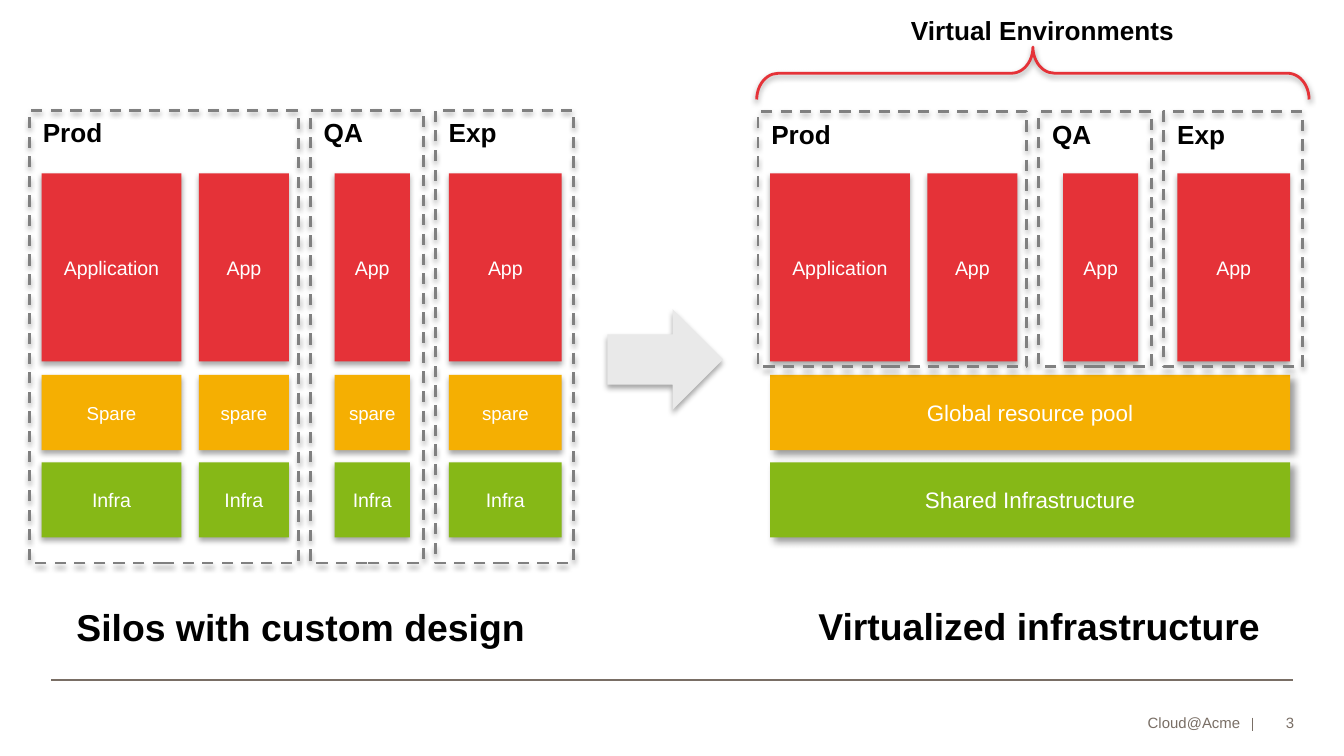
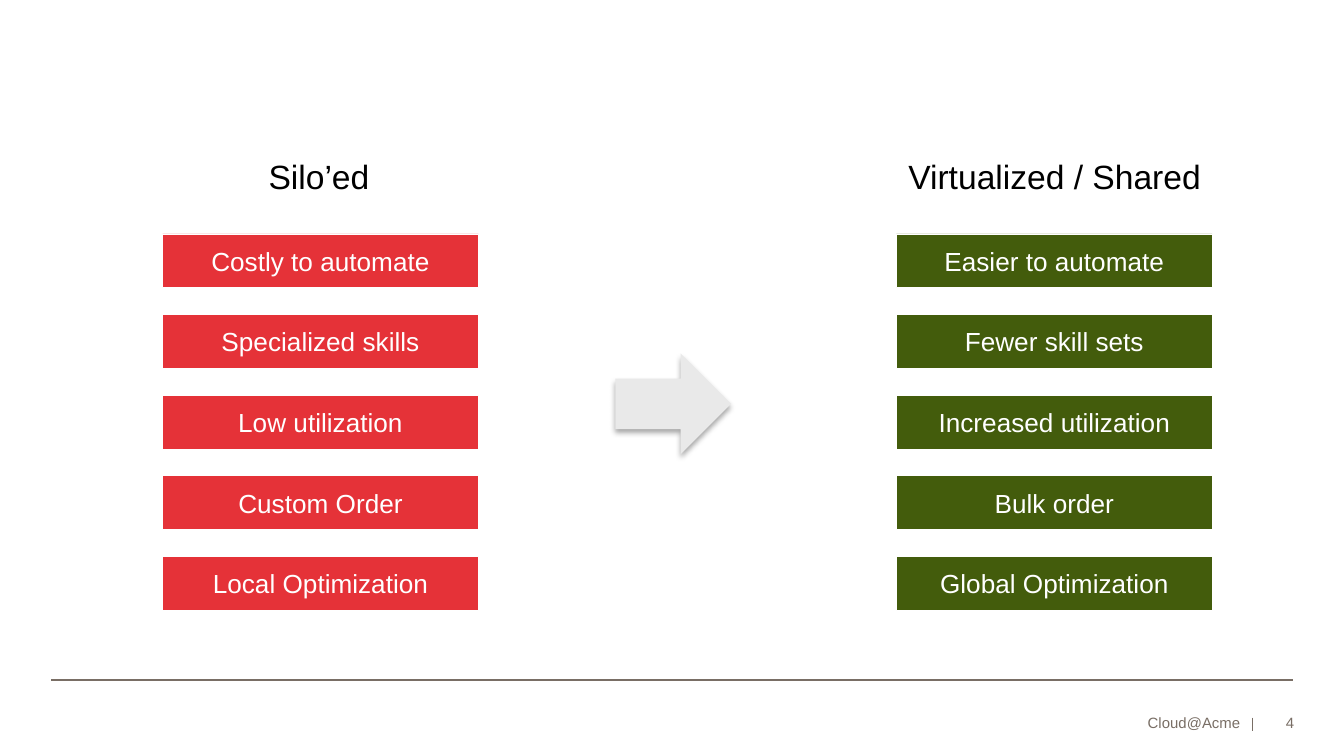
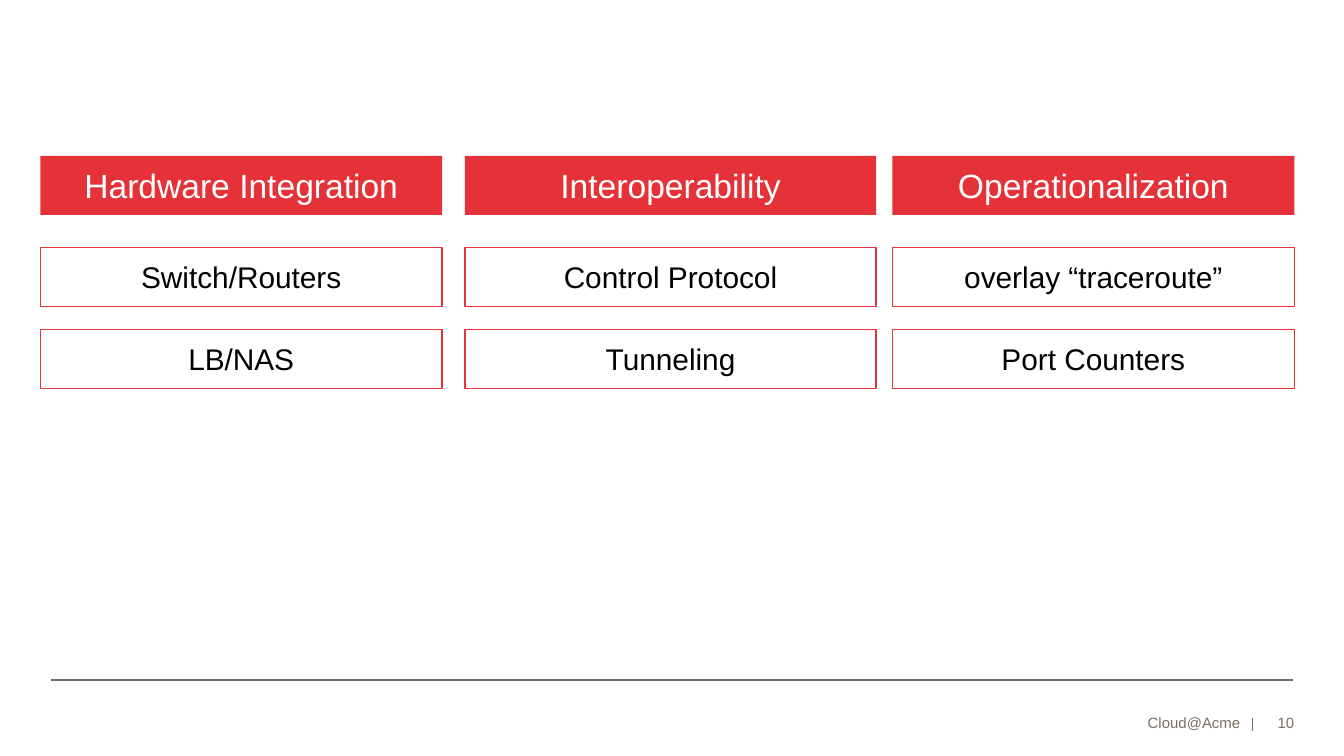
from dataclasses import dataclass

from lxml.etree import SubElement
from pptx import Presentation
from pptx.dml.color import RGBColor
from pptx.enum.dml import MSO_LINE
from pptx.enum.shapes import MSO_CONNECTOR, MSO_SHAPE
from pptx.enum.text import MSO_ANCHOR, MSO_AUTO_SIZE, PP_ALIGN
from pptx.oxml.ns import qn
from pptx.util import Inches, Pt


@dataclass(frozen=True)
class Theme:
    font: str = "Arial"
    red: str = "E53238"
    amber: str = "F5AF02"
    green: str = "86B817"
    dark_green: str = "435C0C"
    arrow: str = "E9E9E9"
    frame: str = "808080"
    footer: str = "796E65"
    black: str = "000000"
    white: str = "FFFFFF"
    footer_size: float = 8
    spare_size: float = 10
    block_size: float = 10.5
    pool_size: float = 12
    label_size: float = 14
    item_size: float = 16
    heading_size: float = 18
    caption_size: float = 20


@dataclass(frozen=True)
class Shadow:
    alpha: int
    blur: float
    distance: float
    angle: int


THEME = Theme()
SOFT = Shadow(35, 3.1, 1.8, 90)
BRACE_SHADOW = Shadow(38, 3.1, 1.6, 90)
DIAGONAL = Shadow(40, 4, 3, 45)
FOOTER_TEXT = "Cloud@Acme"

COLUMNS = [(0.31, 1.04), (1.48, 0.67), (2.49, 0.56), (3.34, 0.84)]
FRAMES = [("Prod", 0.22, 2), ("QA", 2.31, 0.84), ("Exp", 3.24, 1.03)]
APPS = ["Application", "App", "App", "App"]
SPARES = ["Spare", "spare", "spare", "spare"]
INFRA = ["Infra"] * 4
VIRTUAL_OFFSET = 5.42
APP_TOP, APP_HEIGHT = 1.29, 1.4
SPARE_TOP, INFRA_TOP, LAYER_HEIGHT = 2.79, 3.44, 0.56


def color(code):
    return RGBColor.from_string(code)


def write(shape, text, size, ink, align=PP_ALIGN.CENTER, bold=False):
    para = shape.text_frame.paragraphs[0]
    para.alignment = align
    span = para.add_run()
    span.text = text
    span.font.name = THEME.font
    span.font.size = Pt(size)
    span.font.bold = bold
    span.font.color.rgb = color(ink)


def set_insets(shape, left, top, right, bottom):
    frame = shape.text_frame
    frame.margin_left, frame.margin_top = Inches(left), Inches(top)
    frame.margin_right, frame.margin_bottom = Inches(right), Inches(bottom)


def cast_shadow(shape, shadow):
    effects = shape._element.spPr.find(qn("a:effectLst"))
    outer = SubElement(
        effects,
        qn("a:outerShdw"),
        blurRad=str(Pt(shadow.blur)),
        dist=str(Pt(shadow.distance)),
        dir=str(shadow.angle * 60000),
        rotWithShape="0",
    )
    tint = SubElement(outer, qn("a:srgbClr"), val=THEME.black)
    SubElement(tint, qn("a:alpha"), val=str(shadow.alpha * 1000))


def add_figure(page, kind, place, fill=None, line=None, width=1.5, shadow=None):
    shape = page.shapes.add_shape(kind, *map(Inches, place))
    shape.shadow.inherit = False
    if fill:
        shape.fill.solid()
        shape.fill.fore_color.rgb = color(fill)
    else:
        shape.fill.background()
    if line:
        shape.line.color.rgb = color(line)
        shape.line.width = Pt(width)
    else:
        shape.line.fill.background()
    if shadow:
        cast_shadow(shape, shadow)
    return shape


def add_block(page, place, text, fill, size, ink=THEME.white, **style):
    block = add_figure(page, MSO_SHAPE.RECTANGLE, place, fill, **style)
    block.text_frame.vertical_anchor = MSO_ANCHOR.MIDDLE
    write(block, text, size, ink)
    return block


def add_label(page, place, text, size, bold=True):
    box = page.shapes.add_textbox(*map(Inches, place))
    box.text_frame.word_wrap = False
    box.text_frame.auto_size = MSO_AUTO_SIZE.SHAPE_TO_FIT_TEXT
    write(box, text, size, THEME.black, PP_ALIGN.LEFT, bold)


def add_rule(page, start, end):
    rule = page.shapes.add_connector(MSO_CONNECTOR.STRAIGHT, *map(Inches, start + end))
    rule.line.color.rgb = color(THEME.footer)
    rule.line.width = Pt(1)
    SubElement(rule._element.spPr, qn("a:effectLst"))


def add_footer_text(page, left, width, text):
    box = page.shapes.add_textbox(*map(Inches, (left, 5.23, width, 0.21)))
    box.text_frame.word_wrap = True
    box.text_frame.vertical_anchor = MSO_ANCHOR.BOTTOM
    set_insets(box, 0, 0.05, 0, 0)
    write(box, text, THEME.footer_size, THEME.footer, PP_ALIGN.RIGHT)


def add_page(deck, number):
    page = deck.slides.add_slide(deck.slide_layouts.get_by_name("Blank"))
    add_rule(page, (0.38, 5.06), (9.62, 5.06))
    add_rule(page, (9.32, 5.34), (9.32, 5.44))
    add_footer_text(page, 5.57, 3.66, FOOTER_TEXT)
    add_footer_text(page, 9.33, 0.3, str(number))
    return page


def add_arrow(page, left, top):
    place = (left, top, 0.86, 0.75)
    add_figure(page, MSO_SHAPE.RIGHT_ARROW, place, THEME.arrow, shadow=SOFT)


def add_layer(page, texts, top, height, fill, size, offset=0):
    blocks = []
    for text, (left, width) in zip(texts, COLUMNS):
        place = (left + offset, top, width, height)
        blocks.append(add_block(page, place, text, fill, size, shadow=SOFT))
    return blocks


def add_environments(page, top, height, offset=0):
    add_layer(page, APPS, APP_TOP, APP_HEIGHT, THEME.red, THEME.block_size, offset)
    for name, left, width in FRAMES:
        place = (left + offset, top, width, height)
        frame = add_figure(
            page, MSO_SHAPE.RECTANGLE, place, line=THEME.frame, shadow=SOFT
        )
        frame.line.dash_style = MSO_LINE.DASH
        add_label(page, (left + offset, top, 0.65, 0.34), name, THEME.label_size)


def add_silos(page):
    add_layer(page, INFRA, INFRA_TOP, LAYER_HEIGHT, THEME.green, THEME.block_size)
    spares = add_layer(
        page, SPARES, SPARE_TOP, LAYER_HEIGHT, THEME.amber, THEME.spare_size
    )
    for spare in spares:
        set_insets(spare, 0, 0.05, 0, 0.05)
    add_environments(page, 0.82, 3.37)
    add_label(
        page, (0.47, 4.45, 3.57, 0.44), "Silos with custom design", THEME.caption_size
    )


def add_virtualized(page):
    pools = [
        ("Shared Infrastructure", INFRA_TOP, THEME.green),
        ("Global resource pool", SPARE_TOP, THEME.amber),
    ]
    for text, top, fill in pools:
        place = (5.73, top, 3.87, LAYER_HEIGHT)
        add_block(page, place, text, fill, THEME.pool_size, shadow=DIAGONAL)
    add_environments(page, 0.83, 1.9, VIRTUAL_OFFSET)
    add_label(
        page, (5.99, 4.44, 3.52, 0.44), "Virtualized infrastructure", THEME.caption_size
    )
    brace = add_figure(
        page,
        MSO_SHAPE.LEFT_BRACE,
        (7.49, -1.51, 0.39, 4.11),
        line=THEME.red,
        shadow=BRACE_SHADOW,
    )
    brace.rotation = 90
    brace.adjustments[0] = 0.41
    add_label(page, (6.68, 0.06, 2.17, 0.34), "Virtual Environments", THEME.label_size)


def add_trait_list(page, left, fill, traits):
    for row, trait in enumerate(traits):
        place = (left, 1.74 + row * 0.6, 2.35, 0.4)
        block = add_block(
            page, place, trait, fill, THEME.label_size, line=THEME.white, width=0.25
        )
        block.text_frame.word_wrap = False


def add_topic(page, left, width, heading, items):
    add_block(page, (left, 1.16, width, 0.44), heading, THEME.red, THEME.heading_size)
    for row, item in enumerate(items):
        add_block(
            page,
            (left, 1.84 + row * 0.61, width, 0.44),
            item,
            THEME.white,
            THEME.item_size,
            THEME.black,
            line=THEME.red,
            width=0.75,
        )


def build_infrastructure(deck):
    page = add_page(deck, 3)
    add_silos(page)
    add_arrow(page, 4.52, 2.3)
    add_virtualized(page)


def build_comparison(deck):
    page = add_page(deck, 4)
    add_trait_list(page, 6.67, THEME.dark_green, [
        "Easier to automate",
        "Fewer skill sets",
        "Increased utilization",
        "Bulk order",
        "Global Optimization",
    ])
    add_label(
        page, (6.66, 1.11, 2.41, 0.4), "Virtualized / Shared", THEME.heading_size, False
    )
    add_trait_list(page, 1.21, THEME.red, [
        "Costly to automate",
        "Specialized skills",
        "Low utilization",
        "Custom Order",
        "Local Optimization",
    ])
    add_label(page, (1.9, 1.11, 0.96, 0.4), "Silo’ed", THEME.heading_size, False)
    add_arrow(page, 4.58, 2.63)


def build_topics(deck):
    page = add_page(deck, 10)
    add_topic(page, 0.3, 2.99, "Hardware Integration", ["Switch/Routers", "LB/NAS"])
    add_topic(page, 3.46, 3.06, "Interoperability", ["Control Protocol", "Tunneling"])
    add_topic(
        page, 6.64, 2.99, "Operationalization", ["overlay “traceroute”", "Port Counters"]
    )


def main():
    deck = Presentation()
    deck.slide_width = Inches(10)
    deck.slide_height = deck.slide_width * 9 // 16
    build_infrastructure(deck)
    build_comparison(deck)
    build_topics(deck)
    deck.save("out.pptx")


if __name__ == "__main__":
    main()
